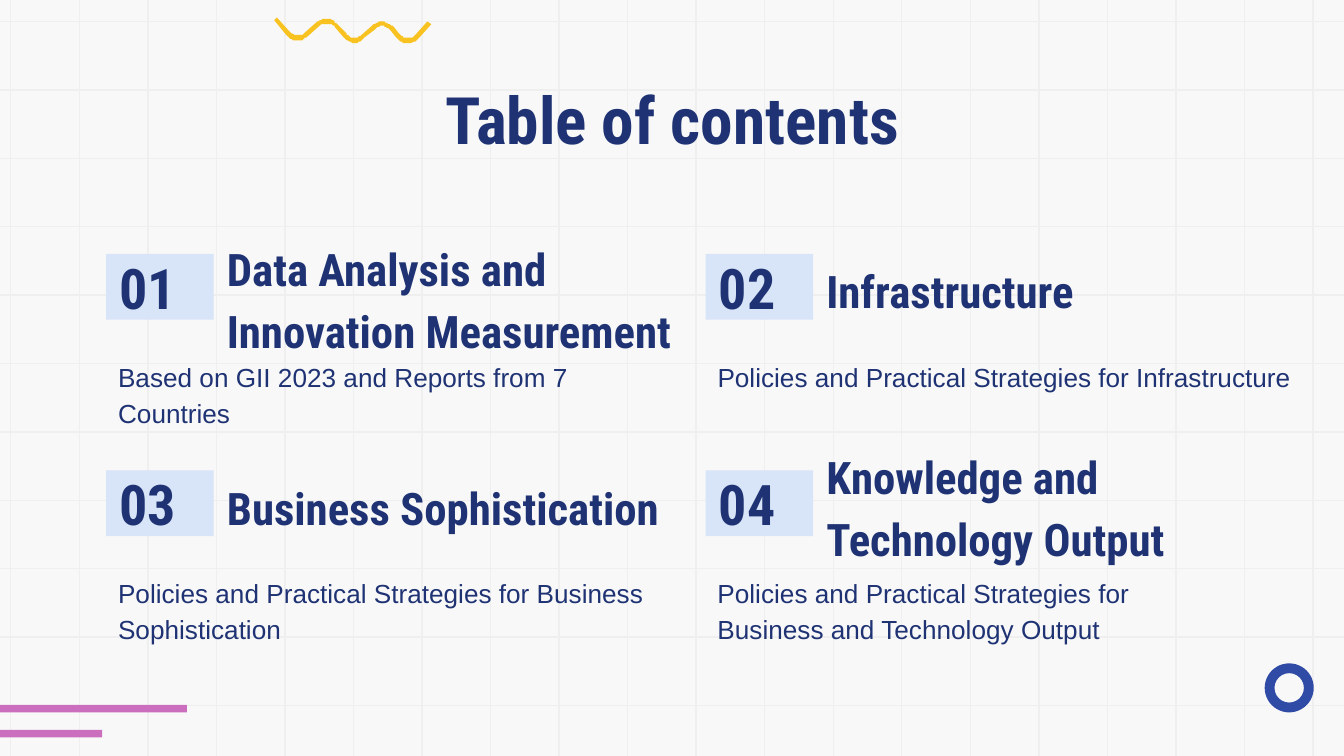
from itertools import product

from pptx import Presentation
from pptx.dml.color import RGBColor
from pptx.enum.shapes import MSO_CONNECTOR, MSO_SHAPE
from pptx.enum.text import MSO_ANCHOR, PP_ALIGN
from pptx.oxml.xmlchemy import OxmlElement
from pptx.util import Inches, Pt

WIDE = Inches(10)
HIGH = WIDE * 9 // 16
HEAD, BODY = "Roboto Condensed", "Arial"
COLORS = {
    "paper": "F8F8F8", "grid": "EFEFEF", "navy": "1F3374", "tile": "D8E4F7",
    "pink": "CB6EBE", "ring": "304BA6", "wave": "F8C220",
}
# number, heading, heading width, heading shift, summary, summary width
CARDS = [
    ("01", "Data Analysis and Innovation Measurement", 37.3, 1.2,
     "Based on GII 2023 and Reports from 7 Countries", 42.2),
    ("02", "Infrastructure", 37.3, 0,
     "Policies and Practical Strategies for Infrastructure", 45.5),
    ("03", "Business Sophistication", 37.3, 0,
     "Policies and Practical Strategies for Business Sophistication", 45.9),
    ("04", "Knowledge and Technology Output", 35.2, 0,
     "Policies and Practical Strategies for Business and Technology Output", 39.7),
]
WAVE = [
    (206, 13), (204, 15), (213, 26), (215, 29, 218, 30, 222, 30),
    (224, 30, 227, 29, 229, 27), (238, 19), (239, 18, 241, 18, 243, 18),
    (246, 18, 248, 18, 249, 20), (255, 27), (257, 30, 260, 31, 263, 32),
    (266, 32, 269, 31, 271, 28), (279, 22), (281, 20, 283, 19, 285, 19),
    (287, 20, 289, 21, 291, 23), (294, 27), (296, 30, 299, 32, 303, 32),
    (306, 32, 309, 31, 312, 28), (321, 18), (318, 16), (309, 26),
    (307, 28, 305, 28, 303, 28), (300, 28, 299, 27, 297, 25), (293, 20),
    (291, 18, 288, 17, 285, 16), (282, 16, 279, 17, 277, 19), (269, 26),
    (268, 27, 266, 28, 264, 28), (261, 28, 259, 27, 258, 25), (251, 18),
    (249, 16, 247, 14, 244, 14), (240, 14, 237, 15, 235, 17), (226, 25),
    (225, 26, 223, 26, 222, 26), (219, 26, 217, 25, 216, 24),
]


def color(name):
    """Return a named colour."""
    return RGBColor.from_string(COLORS[name])


def place(x, y):
    """Turn percent of the slide's width and height into lengths."""
    return round(WIDE * x / 100), round(HIGH * y / 100)


def paint(shape, name):
    """Fill a shape flat, with no outline or shadow."""
    shape.shadow.inherit = False
    shape.fill.solid()
    shape.fill.fore_color.rgb = color(name)
    shape.line.fill.background()


def add_block(slide, kind, x, y, w, h, name):
    """Add a plain filled preset shape."""
    shape = slide.shapes.add_shape(kind, *place(x, y), *place(w, h))
    paint(shape, name)
    return shape


def write(shape, text, size, font=HEAD, bold=True, align=PP_ALIGN.LEFT,
          anchor=MSO_ANCHOR.MIDDLE, space=None):
    """Put one styled paragraph in a shape."""
    frame = shape.text_frame
    frame.word_wrap = True
    frame.vertical_anchor = anchor
    frame.margin_left = frame.margin_right = WIDE // 100
    frame.margin_top = frame.margin_bottom = WIDE // 100
    para = frame.paragraphs[0]
    para.text = text
    para.alignment = align
    para.line_spacing = space
    para.font.name, para.font.size, para.font.bold = font, Pt(size), bold
    para.font.color.rgb = color("navy")


def add_text(slide, x, y, w, h, text, size, **style):
    """Add a text box with one paragraph."""
    box = slide.shapes.add_textbox(*place(x, y), *place(w, h))
    write(box, text, size, **style)


def add_rule(slide, start, end):
    """Add one thin line of the paper grid."""
    rule = slide.shapes.add_connector(MSO_CONNECTOR.STRAIGHT, *place(*start), *place(*end))
    rule.line.color.rgb = color("grid")
    rule.line.width = Pt(0.75)
    rule._element.spPr.append(OxmlElement("a:effectLst"))


def add_grid(slide):
    """Rule the paper in squares."""
    for row in range(11):
        y = 2.84 + 9.05 * row
        add_rule(slide, (100, y), (0, y))
    for col in range(20):
        x = 0.8 + 5.1 * col
        add_rule(slide, (x, 0), (x, 100))


def trace(steps, parts=8):
    """Flatten lines and cubic curves into points."""
    points = [steps[0]]
    for step in steps[1:]:
        if len(step) == 2:
            points.append(step)
            continue
        a, b, c, d = points[-1], step[:2], step[2:4], step[4:]
        for t in (i / parts for i in range(1, parts + 1)):
            u = 1 - t
            points.append(tuple(
                u**3 * a[k] + 3 * u * u * t * b[k] + 3 * u * t * t * c[k] + t**3 * d[k]
                for k in (0, 1)))
    return points


def add_wave(slide):
    """Draw the wave in thousandths of the slide's width."""
    points = trace(WAVE)
    pen = slide.shapes.build_freeform(*points[0], scale=WIDE / 1000)
    pen.add_line_segments(points[1:], close=True)
    paint(pen.convert_to_shape(), "wave")


def add_decor(slide):
    """Add the bars, the ring and the wave."""
    for y, w in ((93.25, 13.9), (96.55, 7.6)):
        add_block(slide, MSO_SHAPE.RECTANGLE, 0, y, w, 1, "pink")
    ring = add_block(slide, MSO_SHAPE.DONUT, 94.1, 87.75, 3.65, 6.49, "ring")
    ring.adjustments[0] = 0.2
    add_wave(slide)


def add_card(slide, x, y, card):
    """Add a numbered tile with its heading and summary."""
    mark, head, width, shift, note, span = card
    tile = add_block(slide, MSO_SHAPE.RECTANGLE, x, y, 8, 8.71, "tile")
    write(tile, mark, 30)
    add_text(slide, x + 8, y + shift, width, 8.71, head, 24, space=1.15)
    add_text(slide, x - 0.1, y + 11.8, span, 7.11, note, 14, font=BODY,
             bold=False, anchor=MSO_ANCHOR.TOP, space=1.15)


def main():
    """Build and save the slide."""
    deck = Presentation()
    deck.slide_width, deck.slide_height = WIDE, HIGH
    slide = deck.slides.add_slide(deck.slide_layouts[6])
    slide.background.fill.solid()
    slide.background.fill.fore_color.rgb = color("paper")
    add_grid(slide)
    add_decor(slide)
    add_text(slide, 7.9, 8.71, 84.3, 11.2, "Table of contents", 35,
             align=PP_ALIGN.CENTER, anchor=MSO_ANCHOR.TOP)
    for (row, col), card in zip(product(range(2), repeat=2), CARDS):
        add_card(slide, 7.9 + 44.6 * col, 33.6 + 28.62 * row, card)
    deck.save("out.pptx")


if __name__ == "__main__":
    main()
